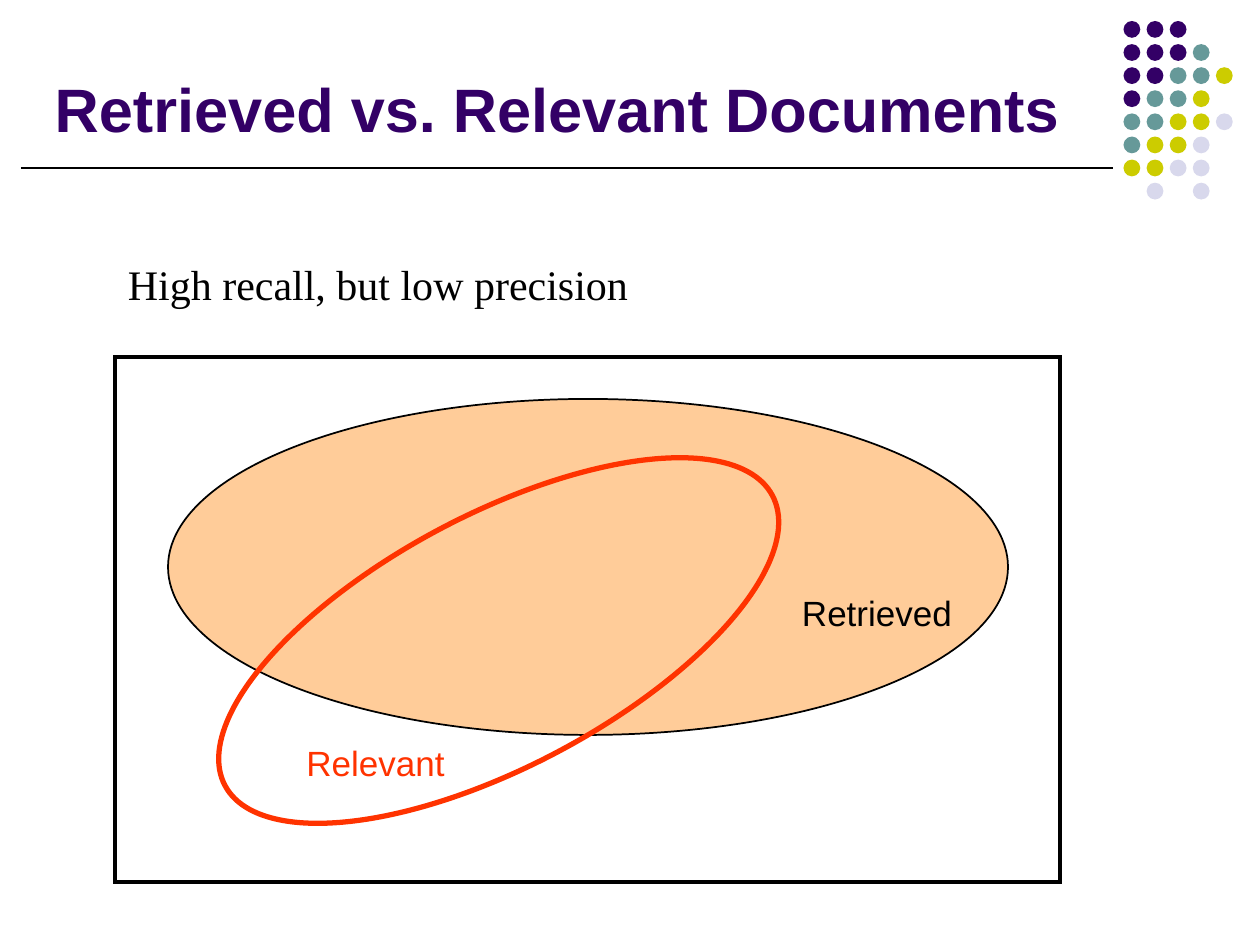
from dataclasses import dataclass

from pptx import Presentation
from pptx.dml.color import RGBColor
from pptx.enum.shapes import MSO_CONNECTOR, MSO_SHAPE
from pptx.enum.text import MSO_ANCHOR, MSO_AUTO_SIZE, PP_ALIGN
from pptx.oxml.ns import qn
from pptx.util import Inches, Pt
from lxml.etree import SubElement


@dataclass(frozen=True)
class Theme:
    ink: str = "000000"
    plum: str = "330066"
    teal: str = "669999"
    lime: str = "CCCC00"
    mist: str = "D8D8EC"
    peach: str = "FFCC99"
    red: str = "FF3300"
    sans: str = "Arial"
    serif: str = "Times New Roman"
    head: int = 35
    body: int = 24
    label: int = 20


class Deck:
    """Places elements on a grid of 120 columns by 90 rows."""

    def __init__(self, theme):
        self.theme = theme
        self.prs = Presentation()
        self.prs.slide_width, self.prs.slide_height = Inches(10), Inches(7.5)
        self.slide = self.prs.slides.add_slide(self.prs.slide_layouts[5])

    def grid(self, *cells):
        wide, high = self.prs.slide_width / 120, self.prs.slide_height / 90
        return [round(n * (high if i % 2 else wide)) for i, n in enumerate(cells)]

    def style(self, para, size, color, face, bold=False):
        para.alignment = PP_ALIGN.LEFT
        font = para.font
        font.name, font.size, font.bold = face, Pt(size), bold
        font.color.rgb = RGBColor.from_string(color)

    def title(self, text, *box):
        shape = self.slide.shapes.title
        shape.left, shape.top, shape.width, shape.height = self.grid(*box)
        frame = shape.text_frame
        frame.text = text
        frame.auto_size = MSO_AUTO_SIZE.NONE
        frame.vertical_anchor = MSO_ANCHOR.BOTTOM
        self.style(frame.paragraphs[0], self.theme.head, self.theme.plum,
                   self.theme.sans, True)

    def text(self, text, box, size, color, face, wrap=False):
        frame = self.slide.shapes.add_textbox(*self.grid(*box)).text_frame
        frame.text = text
        frame.word_wrap = wrap
        frame.auto_size = MSO_AUTO_SIZE.SHAPE_TO_FIT_TEXT
        self.style(frame.paragraphs[0], size, color, face)

    def shape(self, kind, box, fill=None, line=None, width=1, turn=0):
        shape = self.slide.shapes.add_shape(kind, *self.grid(*box))
        shape.shadow.inherit = False
        shape.rotation = turn
        if fill:
            shape.fill.solid()
            shape.fill.fore_color.rgb = RGBColor.from_string(fill)
        else:
            shape.fill.background()
        if line:
            shape.line.color.rgb = RGBColor.from_string(line)
            shape.line.width = Pt(width)
            # Sharp corners
            SubElement(shape.line._get_or_add_ln(), qn("a:miter"), lim="800000")
        else:
            shape.line.fill.background()

    def rule(self, ends, color, width):
        line = self.slide.shapes.add_connector(MSO_CONNECTOR.STRAIGHT, *self.grid(*ends))
        line.line.color.rgb = RGBColor.from_string(color)
        line.line.width = Pt(width)
        SubElement(line._element.spPr, qn("a:effectLst"))

    def dots(self, rows, left, top, step, size):
        theme = self.theme
        hues = {"p": theme.plum, "t": theme.teal, "l": theme.lime, "m": theme.mist}
        for y, row in enumerate(rows):
            for x, key in enumerate(row):
                if key in hues:
                    box = (left + x * step, top + y * step, size, size)
                    self.shape(MSO_SHAPE.OVAL, box, hues[key])


def main():
    theme = Theme()
    deck = Deck(theme)

    # Corner dots, rule and title
    rows = ("ppp", "pppt", "ppttl", "pttl", "ttllm", "tllm", "llmm", ".m.m")
    deck.dots(rows, 107, 2, 2.2, 1.6)
    deck.rule((2, 16, 106, 16), theme.ink, 0.75)
    deck.title("Retrieved vs. Relevant Documents", 4, 3, 99, 11.4)

    # Statement, in a box with room for one full line
    deck.text("High recall, but low precision", (11, 24, 52, 6),
              theme.body, theme.ink, theme.serif, wrap=True)

    # All documents, the retrieved set and the relevant set
    deck.shape(MSO_SHAPE.OVAL, (16, 38, 80, 32), theme.peach, theme.ink)
    deck.shape(MSO_SHAPE.RECTANGLE, (11, 34, 90, 50), line=theme.ink, width=2.25)
    deck.shape(MSO_SHAPE.OVAL, (18, 49, 59, 24), line=theme.red, width=3, turn=332.1)

    # Set labels
    deck.text("Relevant", (28, 70, 15.6, 5.2), theme.label, theme.red, theme.sans)
    deck.text("Retrieved", (75.2, 55.7, 20.8, 5.2), theme.label, theme.ink,
              theme.sans, wrap=True)

    deck.prs.save("out.pptx")


if __name__ == "__main__":
    main()
